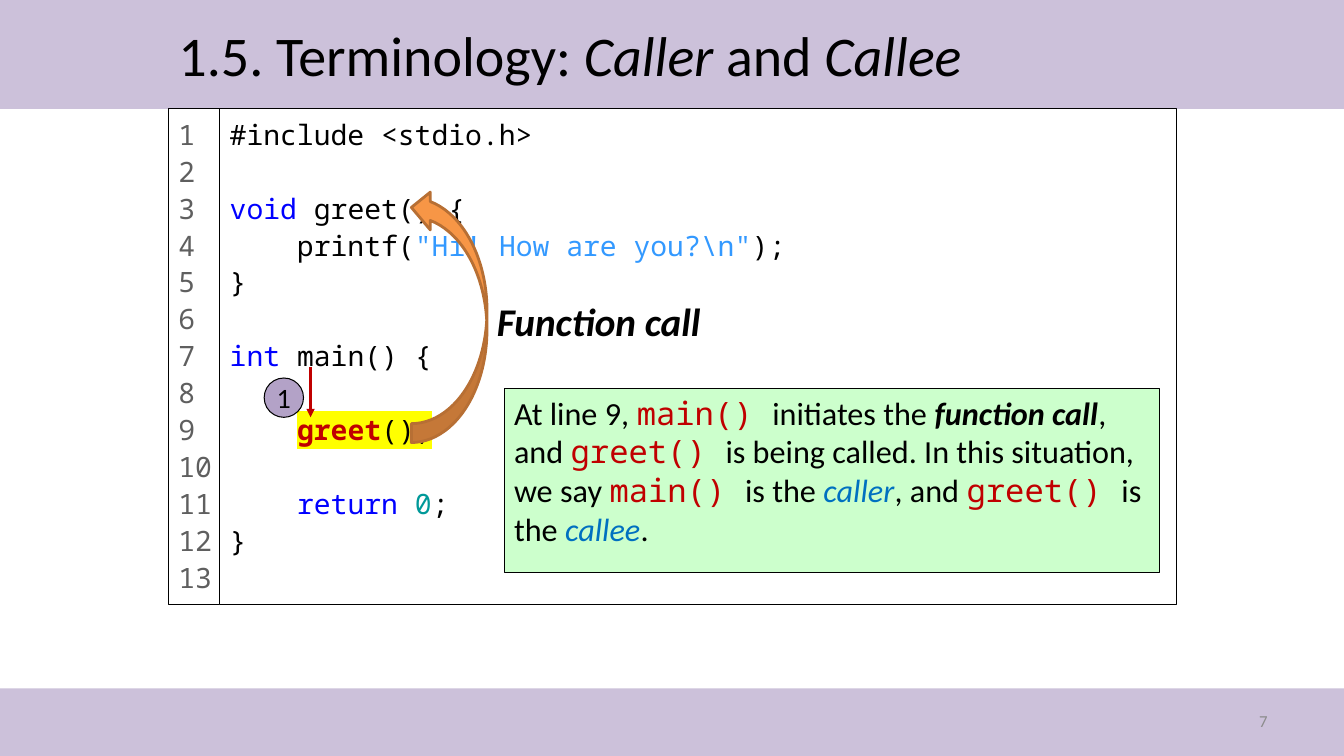
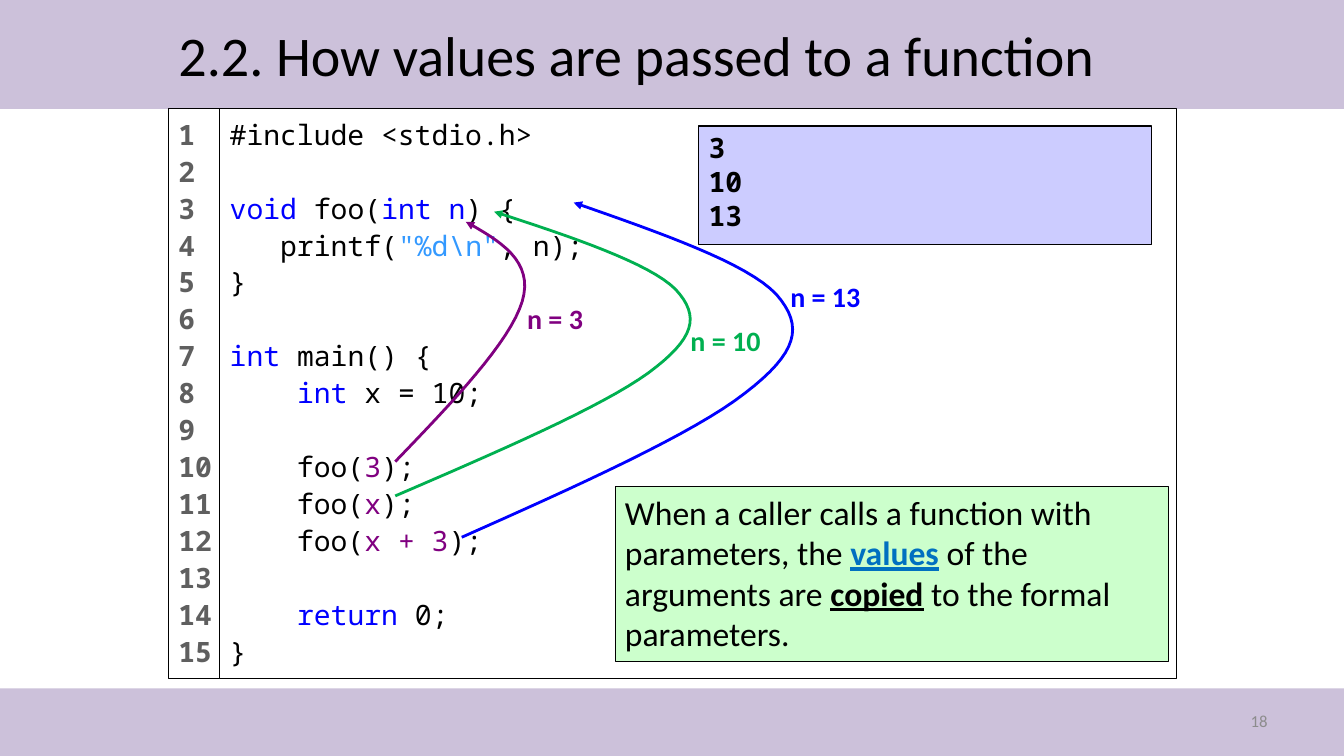
"""Build two lecture slides on function calls and parameter passing in C."""
from lxml.etree import SubElement
from pptx import Presentation
from pptx.dml.color import RGBColor
from pptx.enum.shapes import MSO_CONNECTOR, MSO_SHAPE
from pptx.enum.text import MSO_ANCHOR, PP_ALIGN
from pptx.oxml.ns import qn
from pptx.util import Inches, Pt

BLACK = RGBColor(0x00, 0x00, 0x00)
WHITE = RGBColor(0xFF, 0xFF, 0xFF)
LILAC = RGBColor(0xCC, 0xC1, 0xDA)
MAUVE = RGBColor(0xB3, 0xA2, 0xC7)
PERIWINKLE = RGBColor(0xCC, 0xCC, 0xFF)
MINT = RGBColor(0xCC, 0xFF, 0xCC)
GRAY = RGBColor(0x5F, 0x5F, 0x5F)
PALE_GRAY = RGBColor(0x8C, 0x8C, 0x8C)
BLUE = RGBColor(0x00, 0x00, 0xFF)
SKY = RGBColor(0x33, 0x99, 0xFF)
AZURE = RGBColor(0x00, 0x70, 0xC0)
TEAL = RGBColor(0x00, 0x99, 0x99)
PURPLE = RGBColor(0x80, 0x00, 0x80)
GREEN = RGBColor(0x00, 0xB0, 0x50)
RED = RGBColor(0xC0, 0x00, 0x00)
ORANGE = RGBColor(0xF7, 0x96, 0x46)
BROWN = RGBColor(0xB7, 0x6F, 0x34)

SANS, MONO = "Calibri", "Noto Sans Mono"
TEXT_LEADING, CODE_LEADING = 1.2, 1.32
MARGIN, GUTTER, CODE_WIDTH = 1.67, 0.51, 9.49
BAND_HEIGHT, FOOTER_TOP = 1.08, 6.83

STYLES = {
    "keyword": {"color": BLUE},
    "string": {"color": SKY},
    "number": {"color": TEAL},
    "argument": {"color": PURPLE},
    "called": {"color": RED, "bold": True, "highlight": "FFFF00"},
    "marked": {"highlight": "FFFF00"},
    "italic": {"italic": True},
    "strong": {"bold": True, "italic": True},
    "function": {"font": MONO, "color": RED},
    "term": {"color": AZURE, "italic": True},
    "values": {"color": AZURE, "bold": True, "underline": True},
    "copied": {"bold": True, "underline": True},
}

CALLER = {
    "title": ["1.5. Terminology: ", ("Caller", "italic"), " and ", ("Callee", "italic")],
    "page": "7",
    "code": [
        ["#include <stdio.h>"],
        [],
        [("void", "keyword"), " greet() {"],
        ["    printf(", ("\"Hi! How are you?\\n\"", "string"), ");"],
        ["}"],
        [],
        [("int", "keyword"), " main() {"],
        [],
        ["    ", ("greet", "called"), ("();", "marked")],
        [],
        ["    ", ("return ", "keyword"), ("0", "number"), ";"],
        ["}"],
    ],
    "line_count": 13,
    "code_height": 4.92,
    "bold_numbers": False,
    "note": [
        "At line 9, ", ("main() ", "function"), "initiates the ",
        ("function call", "strong"), ", and ", ("greet() ", "function"),
        "is being called. In this situation, we say ", ("main() ", "function"),
        "is the ", ("caller", "term"), ", and ", ("greet() ", "function"),
        "is the ", ("callee", "term"), ".",
    ],
    "note_box": (5, 3.85, 6.5, 1.83),
    "note_size": 23,
}

PASSING = {
    "title": ["2.2. How values are passed to a function"],
    "page": "18",
    "code": [
        ["#include <stdio.h>"],
        [],
        [("void", "keyword"), " foo(", ("int n", "keyword"), ") {"],
        ["   printf(", ("\"%d\\n\"", "string"), ", n);"],
        ["}"],
        [],
        [("int", "keyword"), " main() {"],
        ["    ", ("int", "keyword"), " x = 10;"],
        [],
        ["    foo(", ("3", "argument"), ");"],
        ["    foo(", ("x", "argument"), ");"],
        ["    foo(", ("x + 3", "argument"), ");"],
        [],
        ["    ", ("return", "keyword"), " 0;"],
        ["}"],
    ],
    "line_count": 15,
    "code_height": 5.65,
    "bold_numbers": True,
    "note": [
        "When a caller calls a function with parameters, the ", ("values", "values"),
        " of the arguments are ", ("copied", "copied"), " to the formal parameters.",
    ],
    "note_box": (6.1, 4.83, 5.49, 1.73),
    "note_size": 24,
}

OUTPUT = [["3"], ["10"], ["13"]]

PASSED_VALUES = [
    ("n = 3", PURPLE, (5.13, 2.94, 0.76, 0.44),
     [(3.92, 4.58), (4.49, 3.99), (5.06, 3.39), (5.18, 2.99),
      (5.3, 2.59), (4.96, 2.39), (4.62, 2.2)]),
    ("n = 10", GREEN, (6.75, 3.16, 0.9, 0.44),
     [(3.92, 4.92), (4.94, 4.48), (5.96, 4.04), (6.43, 3.7), (6.89, 3.36),
      (6.95, 3.14), (6.7, 2.87), (6.44, 2.61), (5.67, 2.35), (4.9, 2.1)]),
    ("n = 13", BLUE, (7.74, 2.72, 0.9, 0.44),
     [(4.58, 5.33), (5.73, 4.82), (6.88, 4.3), (7.39, 3.9), (7.91, 3.5),
      (7.98, 3.24), (7.7, 2.92), (7.41, 2.61), (6.55, 2.31), (5.69, 2.01)]),
]


def inches(box):
    return [Inches(length) for length in box]


def format_run(run, size, font=SANS, color=BLACK, bold=False, italic=False,
               underline=False, highlight=None):
    run.font.size = Pt(size)
    run.font.name = font
    run.font.color.rgb = color
    run.font.bold = bold
    run.font.italic = italic
    run.font.underline = underline
    if highlight:
        fill = run._r.get_or_add_rPr().find(qn("a:solidFill"))
        marker = SubElement(fill.getparent(), qn("a:highlight"))
        SubElement(marker, qn("a:srgbClr"), val=highlight)
        fill.addnext(marker)


def write(shape, lines, size, leading=None, align=PP_ALIGN.LEFT,
          anchor=MSO_ANCHOR.TOP, wrap=True, **base):
    frame = shape.text_frame
    frame.word_wrap = wrap
    frame.vertical_anchor = anchor
    for index, line in enumerate(lines):
        paragraph = frame.add_paragraph() if index else frame.paragraphs[0]
        paragraph.alignment = align
        if leading:
            paragraph.line_spacing = Pt(round(size * leading, 1))
        for part in line:
            words, style = (part, None) if isinstance(part, str) else part
            run = paragraph.add_run()
            run.text = words
            format_run(run, size, **{**base, **STYLES.get(style, {})})


def add_panel(slide, box, fill, line=BLACK, width=0.75, preset=MSO_SHAPE.RECTANGLE):
    panel = slide.shapes.add_shape(preset, *inches(box))
    panel.shadow.inherit = False
    panel.fill.solid()
    panel.fill.fore_color.rgb = fill
    if line is None:
        panel.line.fill.background()
    else:
        panel.line.color.rgb = line
        panel.line.width = Pt(width)
    return panel


def add_label(slide, words, box, size, **style):
    label = slide.shapes.add_textbox(*inches(box))
    write(label, [[words]], size, **style)


def style_arrow(arrow, color):
    arrow.line.color.rgb = color
    arrow.line.width = Pt(2)
    SubElement(arrow.line._get_or_add_ln(), qn("a:tailEnd"), type="triangle")


def curve_points(controls, steps=16):
    points = [controls[0]]
    for start in range(0, len(controls) - 1, 3):
        segment = controls[start:start + 4]
        for step in range(1, steps + 1):
            t = step / steps
            weights = ((1 - t) ** 3, 3 * t * (1 - t) ** 2, 3 * t * t * (1 - t), t ** 3)
            points.append(tuple(sum(weight * point[axis] for weight, point
                                    in zip(weights, segment)) for axis in (0, 1)))
    return points


def add_curved_arrow(slide, controls, color):
    first, *rest = [inches(point) for point in curve_points(controls)]
    builder = slide.shapes.build_freeform(*first)
    builder.add_line_segments(rest, close=False)
    curve = builder.convert_to_shape()
    curve.shadow.inherit = False
    curve.fill.background()
    style_arrow(curve, color)


def move_bands_to_layout(slide, layout):
    for top, height in ((0, BAND_HEIGHT), (FOOTER_TOP, 0.67)):
        band = add_panel(slide, (0, top, 13.33, height), LILAC, line=None)
        layout.shapes.element.insert(2, band.element)


def add_code_slide(deck, layout, content):
    slide = deck.slides.add_slide(layout)
    title = slide.shapes.title
    title.left, title.top, title.width, title.height = inches((MARGIN, 0, 9.99, BAND_HEIGHT))
    write(title, [content["title"]], 40, anchor=MSO_ANCHOR.MIDDLE)
    add_label(slide, content["page"], (9.56, 6.95, 3.11, 0.4), 12,
              align=PP_ALIGN.RIGHT, anchor=MSO_ANCHOR.MIDDLE, color=PALE_GRAY)
    height = content["code_height"]
    code = add_panel(slide, (MARGIN + GUTTER, BAND_HEIGHT, CODE_WIDTH, height), WHITE)
    write(code, content["code"], 20, CODE_LEADING, font=MONO)
    numbers = add_panel(slide, (MARGIN, BAND_HEIGHT, GUTTER, height), WHITE)
    write(numbers, [[str(n + 1)] for n in range(content["line_count"])], 20, CODE_LEADING,
          wrap=False, font=MONO, color=GRAY, bold=content["bold_numbers"])
    note = add_panel(slide, content["note_box"], MINT)
    write(note, [content["note"]], content["note_size"], TEXT_LEADING)
    return slide


def add_call_marks(slide):
    call = add_panel(slide, (4.08, 1.87, 0.75, 2.52), ORANGE, BROWN, 2,
                     MSO_SHAPE.CURVED_RIGHT_ARROW)
    call.rotation = 180
    add_label(slide, "Function call", (4.83, 2.9, 2.25, 0.57), 28,
              wrap=False, bold=True, italic=True)
    step = add_panel(slide, (2.62, 3.75, 0.39, 0.39), MAUVE, preset=MSO_SHAPE.OVAL)
    frame = step.text_frame
    frame.margin_left = frame.margin_right = frame.margin_top = frame.margin_bottom = 0
    write(step, [["1"]], 20, align=PP_ALIGN.CENTER, anchor=MSO_ANCHOR.MIDDLE)
    flow = slide.shapes.add_connector(MSO_CONNECTOR.STRAIGHT, *inches((3.08, 3.64, 3.08, 4.14)))
    style_arrow(flow, RED)
    SubElement(flow.element.spPr, qn("a:effectLst"))


def add_value_marks(slide):
    output = add_panel(slide, (6.93, 1.25, 4.49, 1.18), PERIWINKLE)
    write(output, OUTPUT, 20, TEXT_LEADING, font=MONO, bold=True)
    for words, color, box, controls in PASSED_VALUES:
        add_curved_arrow(slide, controls, color)
        add_label(slide, words, box, 20, wrap=False, color=color, bold=True)


def main():
    deck = Presentation()
    deck.slide_width, deck.slide_height = Inches(13.33), Inches(7.5)
    layout = deck.slide_layouts[5]
    caller = add_code_slide(deck, layout, CALLER)
    move_bands_to_layout(caller, layout)
    add_call_marks(caller)
    add_value_marks(add_code_slide(deck, layout, PASSING))
    deck.save("out.pptx")


if __name__ == "__main__":
    main()
